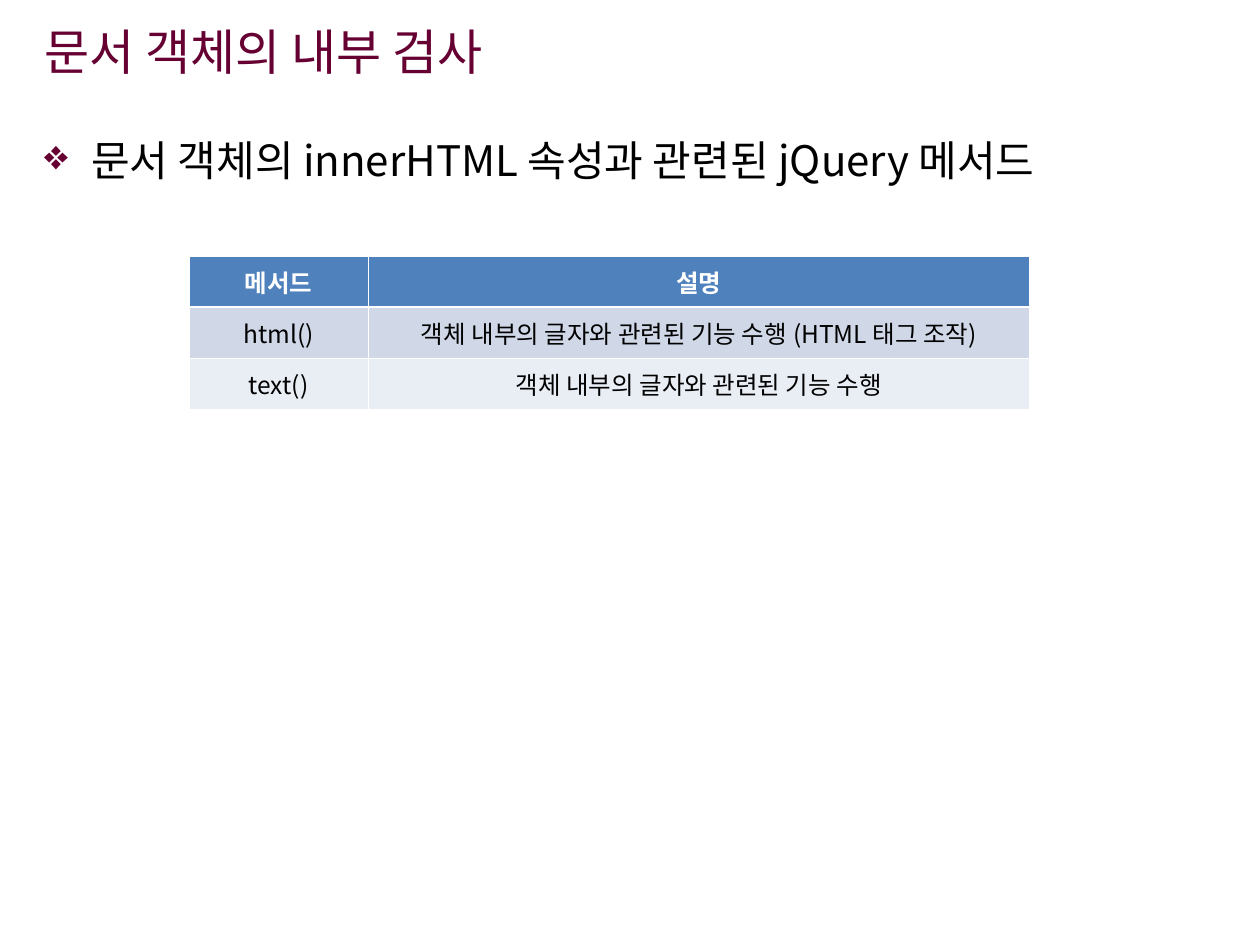
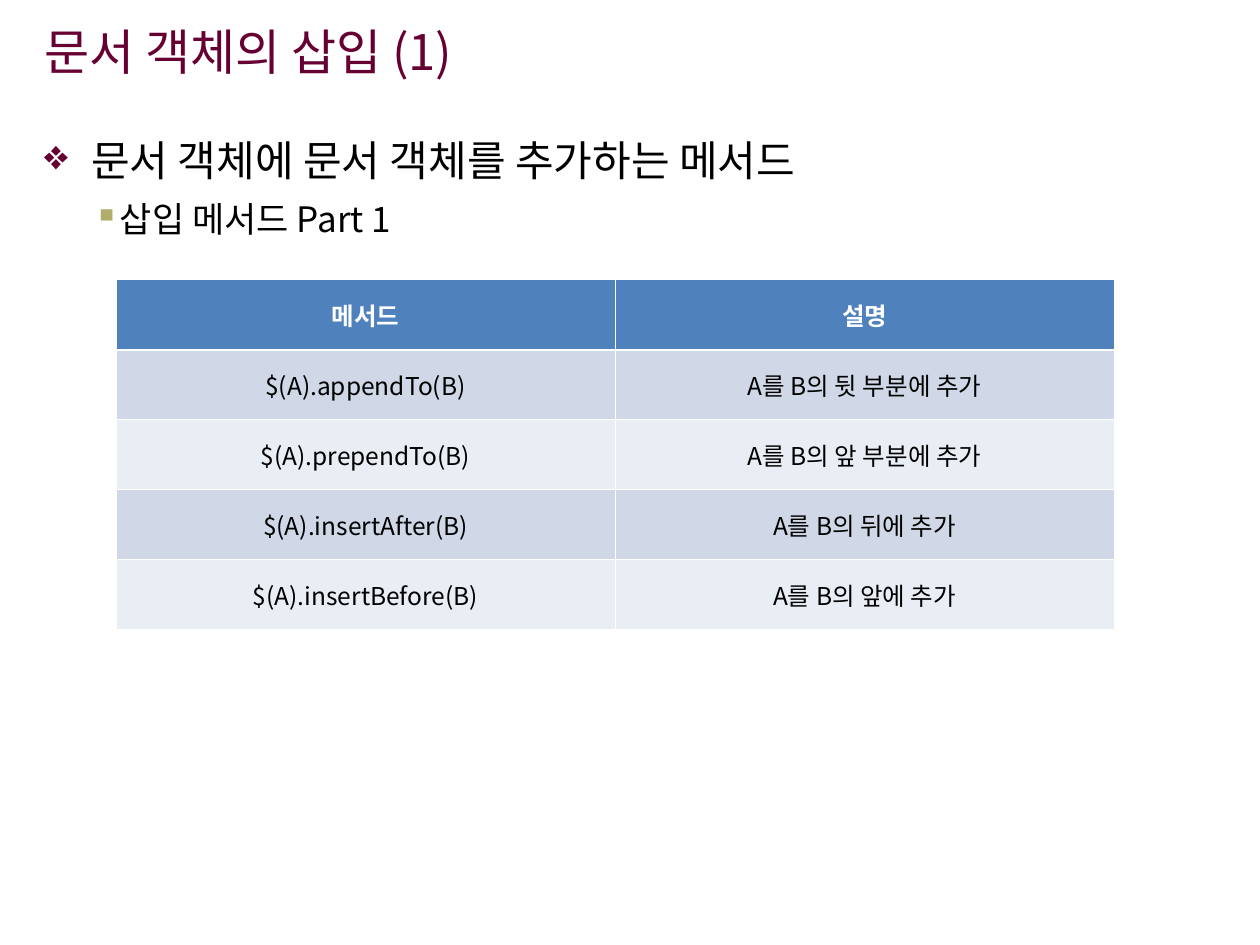
from lxml.etree import SubElement
from pptx import Presentation
from pptx.dml.color import RGBColor
from pptx.enum.text import MSO_ANCHOR, PP_ALIGN
from pptx.oxml.ns import qn
from pptx.util import Cm, Pt

FONT = "Noto Sans CJK KR"
COLORS = {
    "title": "660033",
    "subpoint": "B1AE6B",
    "text": "000000",
    "white": "FFFFFF",
    "header": "4F81BD",
    "odd": "D0D8E8",
    "even": "E9EDF4",
}
LEVELS = [
    {"size": 24, "mark": "❖", "color": "title", "left": 0.95, "hang": 0.95,
     "before": 0, "after": 0, "spacing": 1.0},
    {"size": 20, "mark": "▪", "color": "subpoint", "left": 1.5, "hang": 0.5,
     "before": 5, "after": 3, "spacing": 1.1},
]
THIN, THICK = 0.45, 1.47


class Deck:
    def __init__(self):
        self.presentation = Presentation()
        self.presentation.slide_width = Cm(25.4)
        self.presentation.slide_height = Cm(19.05)
        self.slide = None

    def new_slide(self, heading):
        self.slide = self.presentation.slides.add_slide(self.presentation.slide_layouts[6])
        frame = self.text_frame(0.64, 0.23, 21.01, 1.6)
        frame.vertical_anchor = MSO_ANCHOR.MIDDLE
        self.add_words(frame.paragraphs[0], heading, 28, "title")

    def text_frame(self, left, top, width, height):
        box = self.slide.shapes.add_textbox(Cm(left), Cm(top), Cm(width), Cm(height))
        box.text_frame.word_wrap = True
        return box.text_frame

    def add_words(self, paragraph, words, size, color, bold=False):
        run = paragraph.add_run()
        run.text = words
        run.font.size = Pt(size)
        run.font.bold = bold
        run.font.name = FONT
        run.font.color.rgb = RGBColor.from_string(COLORS[color])
        SubElement(run.font._element, qn("a:ea"), typeface=FONT)

    def points(self, *lines):
        frame = self.text_frame(0.64, 2.59, 24.13, 15.88)
        for index, (level, words) in enumerate(lines):
            paragraph = frame.add_paragraph() if index else frame.paragraphs[0]
            style = LEVELS[level]
            paragraph.level = level
            paragraph.line_spacing = style["spacing"]
            paragraph.space_before = Pt(style["before"])
            paragraph.space_after = Pt(style["after"])
            self.bullet(paragraph, style)
            self.add_words(paragraph, words, style["size"], "text")

    def bullet(self, paragraph, style):
        properties = paragraph._p.get_or_add_pPr()
        properties.set("marL", str(Cm(style["left"])))
        properties.set("indent", str(-Cm(style["hang"])))
        color = SubElement(properties, qn("a:buClr"))
        SubElement(color, qn("a:srgbClr"), val=COLORS[style["color"]])
        SubElement(properties, qn("a:buChar"), char=style["mark"])

    def table(self, left, top, column_widths, row_height, rows):
        table = self.slide.shapes.add_table(
            len(rows), len(column_widths), Cm(left), Cm(top),
            Cm(sum(column_widths)), Cm(row_height * len(rows))).table
        for column, width in zip(table.columns, column_widths):
            column.width = Cm(width)
        for row_index, row in enumerate(rows):
            table.rows[row_index].height = Cm(row_height)
            for column_index, words in enumerate(row):
                self.cell(table.cell(row_index, column_index), row_index, words)

    def cell(self, cell, row_index, words):
        is_header = row_index == 0
        fill = "header" if is_header else "odd" if row_index % 2 else "even"
        self.borders(cell, THICK if row_index == 1 else THIN, THICK if is_header else THIN)
        cell.fill.solid()
        cell.fill.fore_color.rgb = RGBColor.from_string(COLORS[fill])
        cell.vertical_anchor = MSO_ANCHOR.MIDDLE
        paragraph = cell.text_frame.paragraphs[0]
        paragraph.alignment = PP_ALIGN.CENTER
        self.add_words(paragraph, words, 14, "white" if is_header else "text", is_header)

    def borders(self, cell, top, bottom):
        properties = cell._tc.get_or_add_tcPr()
        for side, width in (("L", THIN), ("R", THIN), ("T", top), ("B", bottom)):
            line = SubElement(properties, qn(f"a:ln{side}"), w=str(Pt(width)))
            fill = SubElement(line, qn("a:solidFill"))
            SubElement(fill, qn("a:srgbClr"), val=COLORS["white"])


def main():
    deck = Deck()

    deck.new_slide("문서 객체의 내부 검사")
    deck.points((0, "문서 객체의 innerHTML 속성과 관련된 jQuery 메서드"))
    deck.table(3.81, 5.16, [3.61, 13.34], 1.03, [
        ("메서드", "설명"),
        ("html()", "객체 내부의 글자와 관련된 기능 수행 (HTML 태그 조작)"),
        ("text()", "객체 내부의 글자와 관련된 기능 수행"),
    ])

    deck.new_slide("문서 객체의 삽입 (1)")
    deck.points((0, "문서 객체에 문서 객체를 추가하는 메서드"), (1, "삽입 메서드 Part 1"))
    deck.table(2.34, 5.64, [10.06, 10.06], 1.41, [
        ("메서드", "설명"),
        ("$(A).appendTo(B)", "A를 B의 뒷 부분에 추가"),
        ("$(A).prependTo(B)", "A를 B의 앞 부분에 추가"),
        ("$(A).insertAfter(B)", "A를 B의 뒤에 추가"),
        ("$(A).insertBefore(B)", "A를 B의 앞에 추가"),
    ])

    deck.presentation.save("out.pptx")


if __name__ == "__main__":
    main()
